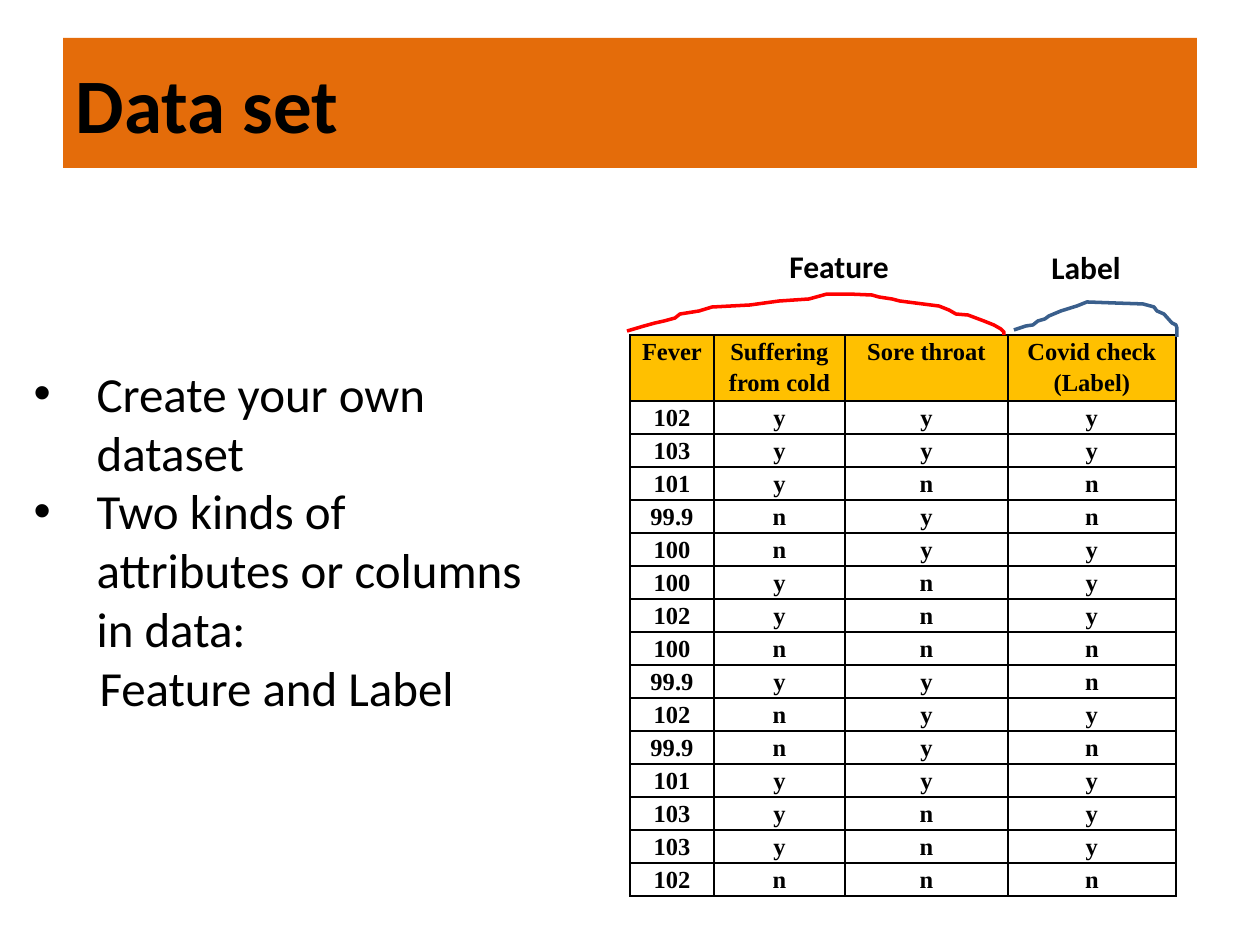
from dataclasses import dataclass

from lxml.etree import SubElement
from pptx import Presentation
from pptx.dml.color import RGBColor
from pptx.enum.text import MSO_ANCHOR, MSO_AUTO_SIZE, PP_ALIGN
from pptx.oxml.ns import qn
from pptx.util import Emu, Pt

EMU_PER_PX = 914400 / 126


@dataclass(frozen=True)
class Theme:
    ink: str = "000000"
    banner: str = "E46C0A"
    header: str = "FFC000"
    feature: str = "FF0000"
    label: str = "3A5F8C"
    sans: str = "Calibri"
    serif: str = "Times New Roman"
    title_size: int = 44
    list_size: int = 28
    caption_size: int = 18
    table_size: int = 14
    brace_width: int = 2


THEME = Theme()

LIST_ITEMS = [
    ("Create your own dataset", True),
    ("Two kinds of attributes or columns in data:", True),
    ("Feature and Label", False),
]
HEADINGS = ["Fever", "Suffering from cold", "Sore throat", "Covid check\n(Label)"]
RECORDS = [
    "102 y y y", "103 y y y", "101 y n n", "99.9 n y n", "100 n y y",
    "100 y n y", "102 y n y", "100 n n n", "99.9 y y n", "102 n y y",
    "99.9 n y n", "101 y y y", "103 y n y", "103 y n y", "102 n n n",
]
COLUMN_WIDTHS = [84, 131, 163, 168]
HEADER_HEIGHT, ROW_HEIGHT = 66, 33

# Brace outlines, in px from the top left of each brace
FEATURE_BRACE = [
    (0, 37), (17, 32), (28, 29), (37, 27), (48, 24), (53, 20), (72, 17),
    (85, 13), (123, 11), (152, 7), (182, 5), (200, 0), (222, 0), (245, 1),
    (252, 3), (265, 5), (273, 7), (312, 12), (322, 16), (329, 20), (341, 21),
    (357, 27), (367, 31), (374, 35), (377, 38), (377, 41),
]
LABEL_BRACE = [
    (0, 28), (12, 24), (19, 23), (24, 19), (31, 17), (35, 14), (47, 9),
    (63, 4), (73, 0), (100, 1), (129, 2), (140, 5), (143, 9), (150, 12),
    (158, 21), (162, 23), (163, 26), (163, 35),
]


def px(length):
    return Emu(round(length * EMU_PER_PX))


def color(value):
    return RGBColor.from_string(value)


def place(shape, box):
    shape.left, shape.top, shape.width, shape.height = map(px, box)


def format_runs(para, size, font=THEME.sans, bold=False):
    for span in para.runs:
        span.font.size = Pt(size)
        span.font.name = font
        span.font.bold = bold
        span.font.color.rgb = color(THEME.ink)


def add_title(page, box):
    title = page.shapes.title
    place(title, box)
    title.fill.solid()
    title.fill.fore_color.rgb = color(THEME.banner)
    title.text_frame.text = "Data set"
    title.text_frame.vertical_anchor = MSO_ANCHOR.MIDDLE
    para = title.text_frame.paragraphs[0]
    para.alignment = PP_ALIGN.LEFT
    format_runs(para, THEME.title_size, bold=True)


def set_bullet(para, bulleted):
    indent = px(63) if bulleted else px(66)
    properties = para._p.get_or_add_pPr()
    properties.set("marL", str(indent))
    properties.set("indent", str(-indent if bulleted else 0))
    if bulleted:
        SubElement(properties, qn("a:buFont")).set("typeface", "Arial")
        SubElement(properties, qn("a:buChar")).set("char", "•")
    else:
        SubElement(properties, qn("a:buNone"))


def add_list(page, box):
    body = page.placeholders[1]
    place(body, box)
    frame = body.text_frame
    frame.auto_size = MSO_AUTO_SIZE.NONE
    frame.text = "\n".join(text for text, _ in LIST_ITEMS)
    for para, (_, bulleted) in zip(frame.paragraphs, LIST_ITEMS):
        para.space_before = Pt(0)
        set_bullet(para, bulleted)
        format_runs(para, THEME.list_size)


def add_borders(cell):
    properties = cell._tc.get_or_add_tcPr()
    for position, side in enumerate(("a:lnL", "a:lnR", "a:lnT", "a:lnB")):
        line = properties.makeelement(qn(side), {"w": str(Pt(1))})
        fill = SubElement(line, qn("a:solidFill"))
        SubElement(fill, qn("a:srgbClr")).set("val", THEME.ink)
        properties.insert(position, line)


def fill_cell(cell, text, is_header):
    cell.margin_left = cell.margin_right = px(9)
    cell.margin_top = cell.margin_bottom = 0
    cell.text_frame.text = text
    for para in cell.text_frame.paragraphs:
        para.alignment = PP_ALIGN.CENTER
        para.line_spacing = 1.15
        format_runs(para, THEME.table_size, THEME.serif, bold=True)
    if is_header:
        cell.fill.solid()
        cell.fill.fore_color.rgb = color(THEME.header)
    else:
        cell.fill.background()
    add_borders(cell)


def add_data_table(page, left, top):
    rows = [HEADINGS] + [record.split() for record in RECORDS]
    height = HEADER_HEIGHT + ROW_HEIGHT * len(RECORDS)
    box = map(px, (left, top, sum(COLUMN_WIDTHS), height))
    table = page.shapes.add_table(len(rows), len(HEADINGS), *box).table
    table.first_row = table.horz_banding = False
    for column, width in zip(table.columns, COLUMN_WIDTHS):
        column.width = px(width)
    for row_index, values in enumerate(rows):
        is_header = row_index == 0
        table.rows[row_index].height = px(HEADER_HEIGHT if is_header else ROW_HEIGHT)
        for column_index, text in enumerate(values):
            fill_cell(table.cell(row_index, column_index), text, is_header)


def add_caption(page, text, box):
    caption = page.shapes.add_textbox(*map(px, box))
    caption.text_frame.word_wrap = False
    caption.text_frame.text = text
    format_runs(caption.text_frame.paragraphs[0], THEME.caption_size, bold=True)


def add_brace(page, points, left, top, line_color):
    builder = page.shapes.build_freeform(*points[0], scale=EMU_PER_PX)
    builder.add_line_segments(points[1:], close=False)
    brace = builder.convert_to_shape(px(left), px(top))
    brace.shadow.inherit = False
    brace.fill.background()
    brace.line.color.rgb = color(line_color)
    brace.line.width = Pt(THEME.brace_width)


def main():
    deck = Presentation()
    deck.slide_width, deck.slide_height = px(1260), px(945)
    page = deck.slides.add_slide(deck.slide_layouts[1])

    # Heading and explanation
    add_title(page, (63, 38, 1134, 130))
    add_list(page, (21, 357, 525, 369))

    # Data set with its column groups
    add_data_table(page, 630, 335)
    add_caption(page, "Feature", (777, 241, 126, 50))
    add_caption(page, "Label", (1039, 242, 96, 50))
    add_brace(page, FEATURE_BRACE, 627, 294, THEME.feature)
    add_brace(page, LABEL_BRACE, 1014, 302, THEME.label)

    deck.save("out.pptx")


if __name__ == "__main__":
    main()
